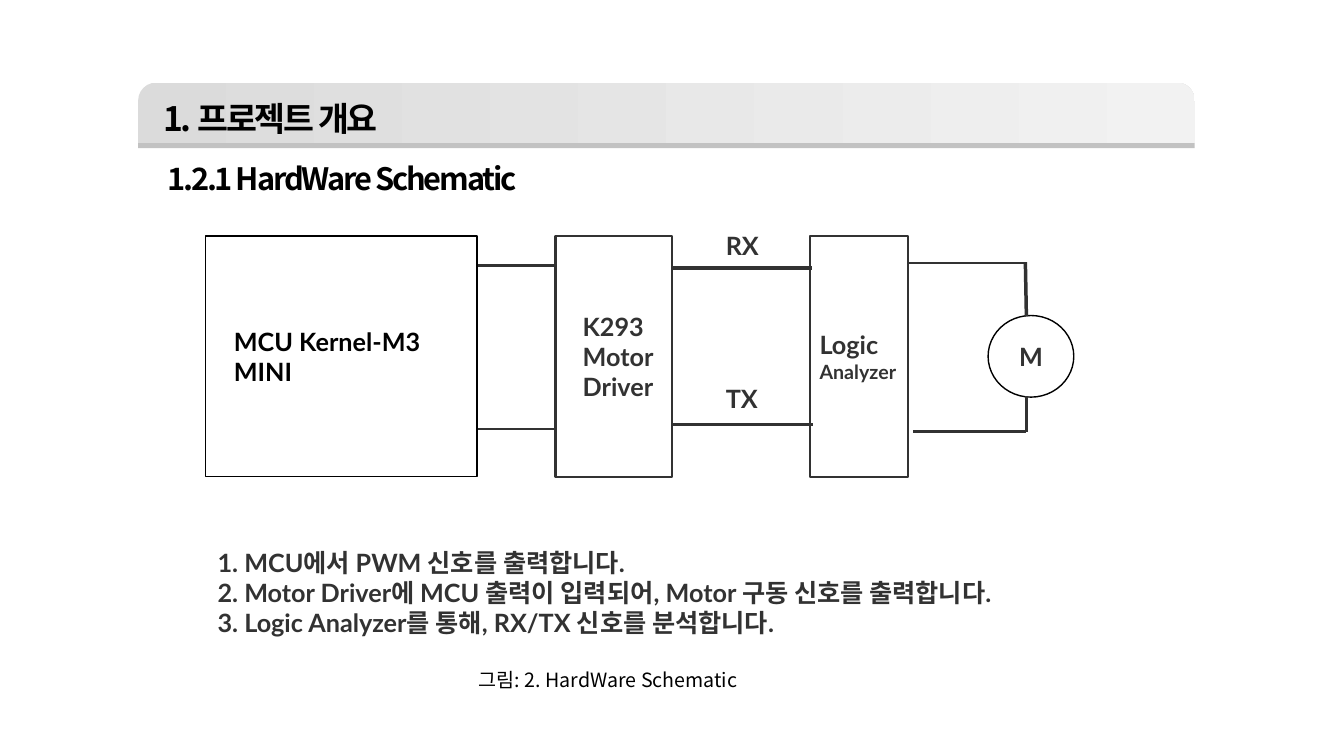
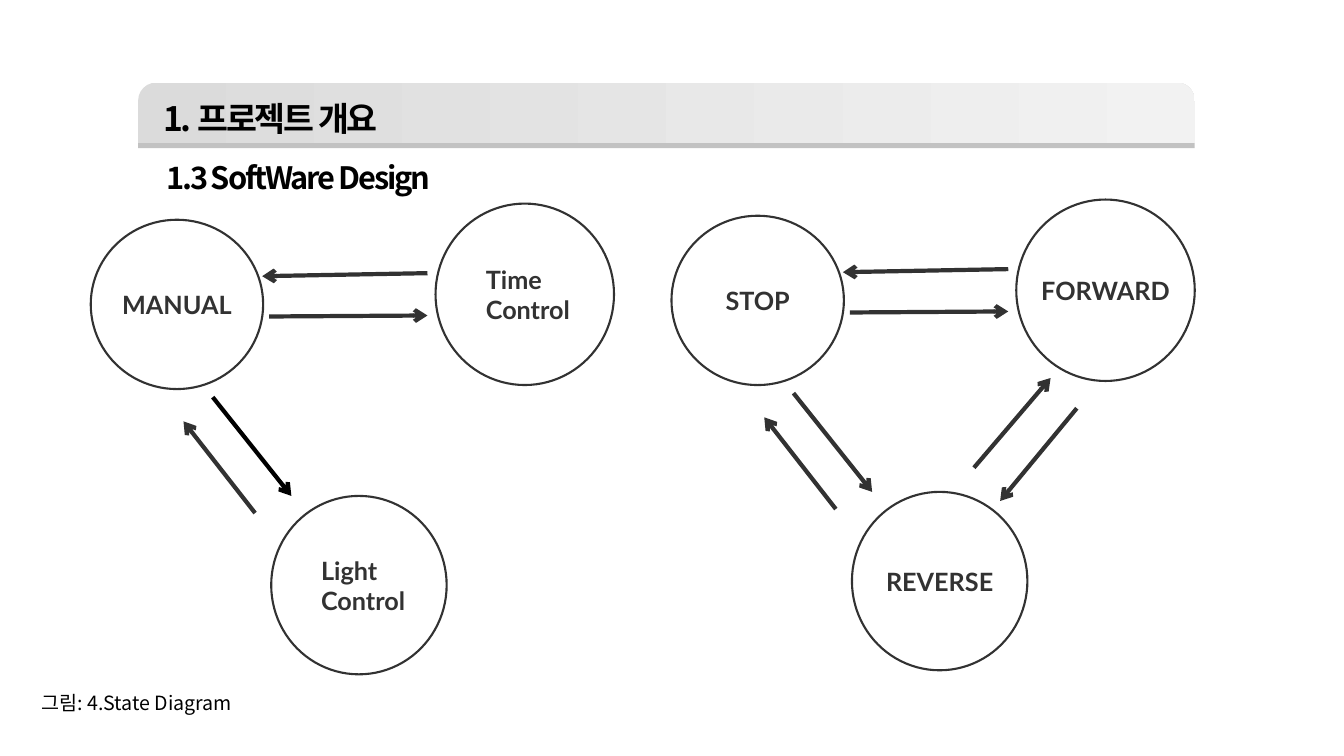
from lxml import etree
from pptx import Presentation
from pptx.dml.color import RGBColor
from pptx.enum.shapes import MSO_CONNECTOR, MSO_SHAPE
from pptx.enum.text import MSO_ANCHOR, PP_ALIGN
from pptx.oxml.ns import qn
from pptx.util import Inches, Pt

RECTANGLE, OVAL = MSO_SHAPE.RECTANGLE, MSO_SHAPE.OVAL
BAND = MSO_SHAPE.ROUND_2_SAME_RECTANGLE
STRAIGHT = MSO_CONNECTOR.STRAIGHT
TOP, MIDDLE = MSO_ANCHOR.TOP, MSO_ANCHOR.MIDDLE
LEFT, CENTER = PP_ALIGN.LEFT, PP_ALIGN.CENTER
LATIN_FONT, KOREAN_FONT = "Lato", "Noto Sans CJK KR"
COLORS = {
    "black": "000000",
    "ink": "323232",
    "band_start": "DBDBDB",
    "band_end": "F2F2F2",
    "rule": "C2C2C2",
}


def color(name):
    return RGBColor.from_string(COLORS[name])


def write_text(shape, text, size=18, last_size=None, font=LATIN_FONT, ink="ink",
               bold=True, spacing=None, align=LEFT, anchor=TOP, wrap=True, inset=0.1):
    """Fill a shape with one paragraph per line; last_size resizes the final one."""
    frame = shape.text_frame
    frame.text = text
    frame.word_wrap = wrap
    frame.vertical_anchor = anchor
    frame.margin_left = Inches(inset)
    frame.margin_right = Inches(0)
    for paragraph in frame.paragraphs:
        paragraph.alignment = align
        run_font = paragraph.runs[0].font
        run_font.size = Pt(size)
        run_font.bold = bold
        run_font.name = font
        run_font.color.rgb = color(ink)
    if last_size:
        run_font.size = Pt(last_size)
    for properties in shape.element.iter(qn("a:rPr")):
        etree.SubElement(properties, qn("a:ea")).set("typeface", KOREAN_FONT)
        if spacing:
            properties.set("spc", str(int(spacing * 100)))


presentation = Presentation()
presentation.slide_width = Inches(13.33)
presentation.slide_height = Inches(7.5)
layout = presentation.slide_layouts[6]
for placeholder in list(layout.placeholders):
    placeholder.element.getparent().remove(placeholder.element)
hardware = presentation.slides.add_slide(layout)
software = presentation.slides.add_slide(layout)

# Header band, moved to the layout so that both slides share it
band = hardware.shapes.add_shape(BAND, Inches(1.37), Inches(0.82), Inches(10.48), Inches(0.6))
band.adjustments[0] = 0.296
band.fill.gradient()
band.fill.gradient_angle = 0
for stop, name in zip(band.fill.gradient_stops, ("band_start", "band_end")):
    stop.color.rgb = color(name)
rule = hardware.shapes.add_shape(RECTANGLE, Inches(1.37), Inches(1.42), Inches(10.48), Inches(0.05))
rule.fill.solid()
rule.fill.fore_color.rgb = color("rule")
for shape in (band, rule):
    shape.line.fill.background()
    shape.shadow.inherit = False
    layout.shapes.element.append(shape.element)

# Text boxes: slide, left, top, width, height, text, format
title = {"size": 24, "font": KOREAN_FONT, "ink": "black", "spacing": -1.5}
subtitle = {**title, "size": 22}
caption = {"size": 14, "font": KOREAN_FONT, "ink": "black", "bold": False}
steps = """1. MCU에서 PWM 신호를 출력합니다.
2. Motor Driver에 MCU 출력이 입력되어, Motor 구동 신호를 출력합니다.
3. Logic Analyzer를 통해, RX/TX 신호를 분석합니다."""
text_boxes = [(slide, 1.52, 0.92, 5.66, 0.49, "1. 프로젝트 개요", title)
              for slide in (hardware, software)]
text_boxes += [
    (hardware, 1.56, 1.54, 5.66, 0.46, "1.2.1 HardWare Schematic", subtitle),
    (hardware, 7.1, 2.24, 0.99, 0.4, "RX", {}),
    (hardware, 7.1, 3.75, 0.99, 0.4, "TX", {}),
    (hardware, 2.06, 5.38, 9.22, 0.99, steps, {}),
    (hardware, 4.65, 6.58, 7.04, 0.32, "그림: 2. HardWare Schematic", caption),
    (software, 1.55, 1.53, 5.66, 0.46, "1.3 SoftWare Design", subtitle),
    (software, 0.31, 6.81, 7.04, 0.32, "그림: 4.State Diagram", caption),
]
for slide, left, top, width, height, text, style in text_boxes:
    box = slide.shapes.add_textbox(Inches(left), Inches(top), Inches(width), Inches(height))
    write_text(box, text, **style)

# Schematic blocks: slide, kind, left, top, width, height, outline, weight, text, format
centered = {"align": CENTER, "wrap": False, "inset": 0}
nodes = [
    (hardware, RECTANGLE, 2.04, 2.34, 2.69, 2.39, "black", 1,
     "MCU Kernel-M3 MINI", {"ink": "black", "inset": 0.28}),
    (hardware, RECTANGLE, 5.51, 2.34, 1.16, 2.39, "ink", 1.5,
     "K293\nMotor\nDriver", {"inset": 0.27}),
    (hardware, RECTANGLE, 8.03, 2.34, 0.98, 2.39, "ink", 1.5,
     "Logic\nAnalyzer", {"last_size": 14}),
    (hardware, OVAL, 9.8, 3.13, 0.85, 0.81, "black", 1, "M", centered),
]

# Schematic wires: slide, start x, start y, end x, end y, colour, weight, arrowhead
wires = [
    (4.74, 2.63, 5.52, 2.63, 2),
    (4.74, 4.26, 5.52, 4.26, 1.5),
    (6.66, 2.66, 8.05, 2.66, 2.5),
    (6.67, 4.21, 8.06, 4.21, 2),
    (9.02, 2.61, 10.17, 2.61, 2),
    (10.17, 2.6, 10.18, 3.14, 2.5),
    (9.06, 4.28, 10.18, 4.28, 2),
    (10.18, 3.93, 10.18, 4.29, 2.5),
]
lines = [(hardware, *ends, "ink", weight, False) for *ends, weight in wires]

# Two state diagrams with the same layout
state_boxes = [(0.9, 2.18, 1.71, 1.68), (4.32, 2.02, 1.77, 1.8), (2.69, 4.92, 1.74, 1.77)]
transitions = [
    (2.11, 3.94, 2.89, 4.92),
    (2.53, 5.09, 1.82, 4.18),
    (2.67, 3.14, 4.24, 3.13),
    (4.24, 2.71, 2.6, 2.74),
]
two_lines = {"inset": 0.24}
diagrams = [
    (0, 0, "black", [("MANUAL", centered), ("Time Control", two_lines),
                     ("Light Control", two_lines)]),
    (5.76, -0.04, "ink", [(name, centered) for name in ("STOP", "FORWARD", "REVERSE")]),
]
for shift_x, shift_y, first_color, labels in diagrams:
    for (left, top, width, height), (text, style) in zip(state_boxes, labels):
        nodes.append((software, OVAL, left + shift_x, top + shift_y, width, height,
                      "ink", 1.5, text, style))
    for index, (x1, y1, x2, y2) in enumerate(transitions):
        lines.append((software, x1 + shift_x, y1 + shift_y, x2 + shift_x, y2 + shift_y,
                      "ink" if index else first_color, 3, True))
lines += [
    (software, 9.66, 4.64, 10.42, 3.75, "ink", 3, True),
    (software, 10.68, 4.05, 9.92, 4.97, "ink", 3, True),
]

for slide, kind, left, top, width, height, outline, weight, text, style in nodes:
    node = slide.shapes.add_shape(kind, Inches(left), Inches(top), Inches(width), Inches(height))
    node.shadow.inherit = False
    node.fill.background()
    node.line.color.rgb = color(outline)
    node.line.width = Pt(weight)
    write_text(node, text, anchor=MIDDLE, **style)

for slide, x1, y1, x2, y2, ink, weight, arrow in lines:
    connector = slide.shapes.add_connector(STRAIGHT, Inches(x1), Inches(y1), Inches(x2), Inches(y2))
    connector.line.color.rgb = color(ink)
    connector.line.width = Pt(weight)
    properties = connector.element.spPr
    if arrow:
        etree.SubElement(properties.find(qn("a:ln")), qn("a:tailEnd")).set("type", "arrow")
    etree.SubElement(properties, qn("a:effectLst"))

presentation.save("out.pptx")
